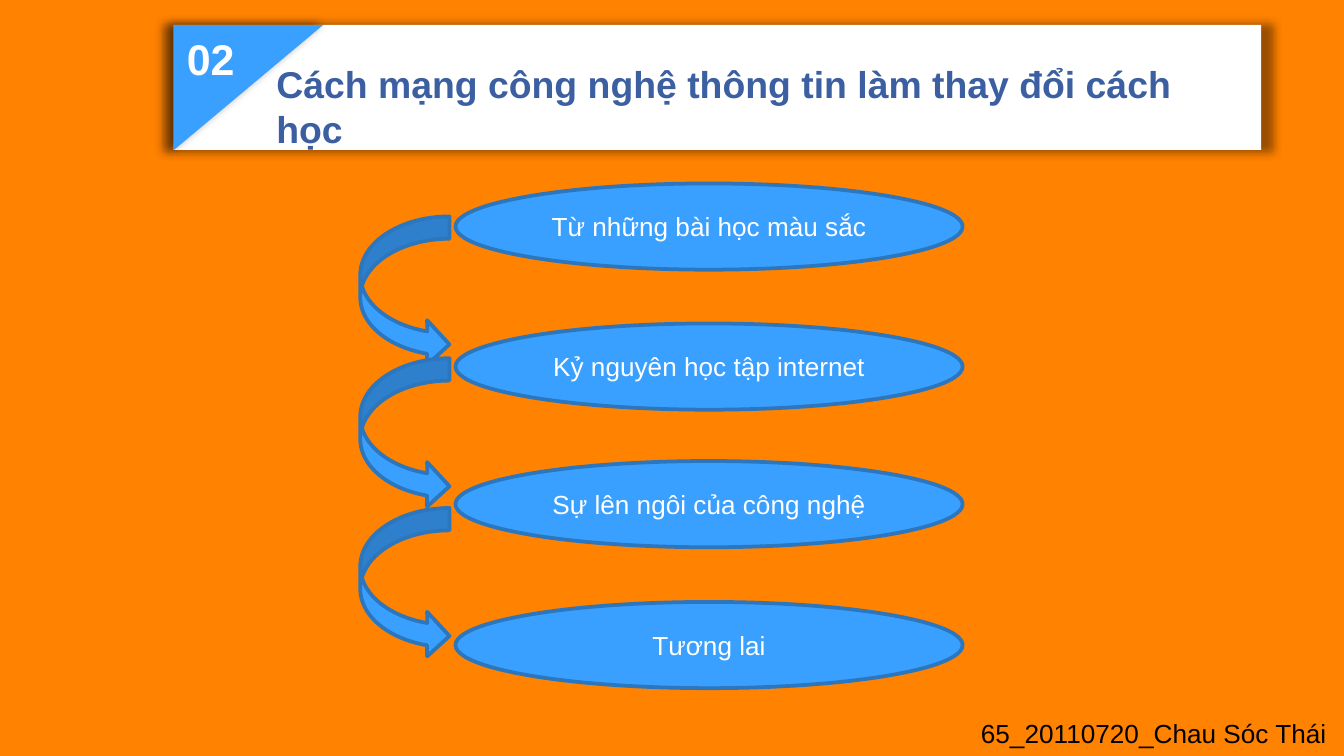
from lxml.etree import SubElement
from pptx import Presentation
from pptx.dml.color import RGBColor
from pptx.enum.shapes import MSO_SHAPE
from pptx.enum.text import MSO_ANCHOR, MSO_AUTO_SIZE, PP_ALIGN
from pptx.oxml import parse_xml
from pptx.util import Pt

ORANGE = RGBColor(0xFF, 0x82, 0x00)
WHITE = RGBColor(0xFF, 0xFF, 0xFF)
BLACK = RGBColor(0x00, 0x00, 0x00)
BLUE = RGBColor(0x3A, 0xA0, 0xFF)
EDGE = RGBColor(0x2B, 0x76, 0xBD)
NAVY = RGBColor(0x3B, 0x5F, 0xA1)
SHADOW = (
    '<a:effectLst xmlns:a="http://schemas.openxmlformats.org/drawingml/2006/main">'
    '<a:outerShdw blurRad="63500" sx="102000" sy="102000" algn="ctr" rotWithShape="0">'
    '<a:srgbClr val="000000"><a:alpha val="40000"/></a:srgbClr>'
    '</a:outerShdw></a:effectLst>'
)


def draw(kind, box, fill, edge=None):
    shape = slide.shapes.add_shape(kind, *map(Pt, box))
    shape.shadow.inherit = False
    shape.fill.solid()
    shape.fill.fore_color.rgb = fill
    if edge is None:
        shape.line.fill.background()
    else:
        shape.line.color.rgb = edge
        shape.line.width = Pt(2)
    return shape


def write(frame, text, color, style):
    run = frame.paragraphs[0].add_run()
    run.text = text
    run.font.color.rgb = color
    for key, value in style.items():
        setattr(run.font, key, value)


deck = Presentation()
deck.slide_width, deck.slide_height = Pt(720), Pt(405)
slide = deck.slides.add_slide(deck.slide_layouts[6])
slide.background.fill.solid()
slide.background.fill.fore_color.rgb = ORANGE

banner = draw(MSO_SHAPE.RECTANGLE, (93, 13.3, 582.7, 67), WHITE)
corner = draw(MSO_SHAPE.RIGHT_TRIANGLE, (99.5, 7, 67, 80), BLUE)
corner.rotation = 90
for shape in (banner, corner):
    props = shape.element.spPr
    props.remove(props.effectLst)
    props.append(parse_xml(SHADOW))

body = {"name": "Arial", "size": Pt(14), "bold": False}
labels = [
    ("02", (93, 13.7, 47.5, 35.3), WHITE, 23, True, True),
    ("Cách mạng công nghệ thông tin làm thay đổi cách học",
     (141, 29.5, 535, 31.7), NAVY, 20, True, True),
    ("65_20110720_Chau Sóc Thái", (518.4, 381, 201.6, 24.2), BLACK, 14, False, False),
]
for text, box, color, size, bold, wrap in labels:
    frame = slide.shapes.add_textbox(*map(Pt, box)).text_frame
    frame.word_wrap = wrap
    frame.auto_size = MSO_AUTO_SIZE.SHAPE_TO_FIT_TEXT
    write(frame, text, color, {**body, "size": Pt(size), "bold": bold})

for top in (116, 192, 272.2):
    draw(MSO_SHAPE.CURVED_RIGHT_ARROW, (193, top, 47.8, 80.5), BLUE, EDGE)

steps = [
    ("Từ những bài học màu sắc", 98.3),
    ("Kỷ nguyên học tập internet", 173.3),
    ("Sự lên ngôi của công nghệ", 247),
    ("Tương lai", 322.5),
]
for text, top in steps:
    frame = draw(MSO_SHAPE.OVAL, (244, top, 271.7, 46.2), BLUE, EDGE).text_frame
    frame.vertical_anchor = MSO_ANCHOR.MIDDLE
    frame.paragraphs[0].alignment = PP_ALIGN.CENTER
    write(frame, text, WHITE, body)

deck.save("out.pptx")
